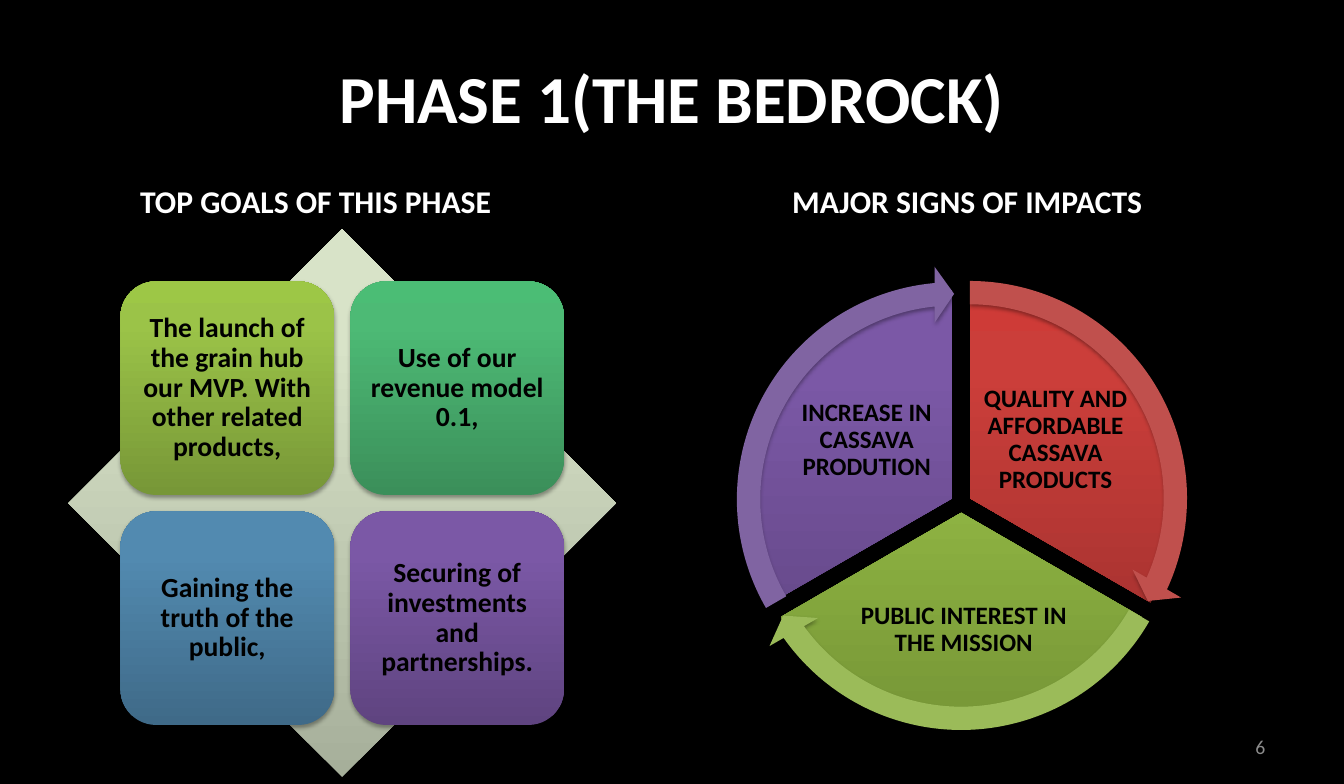
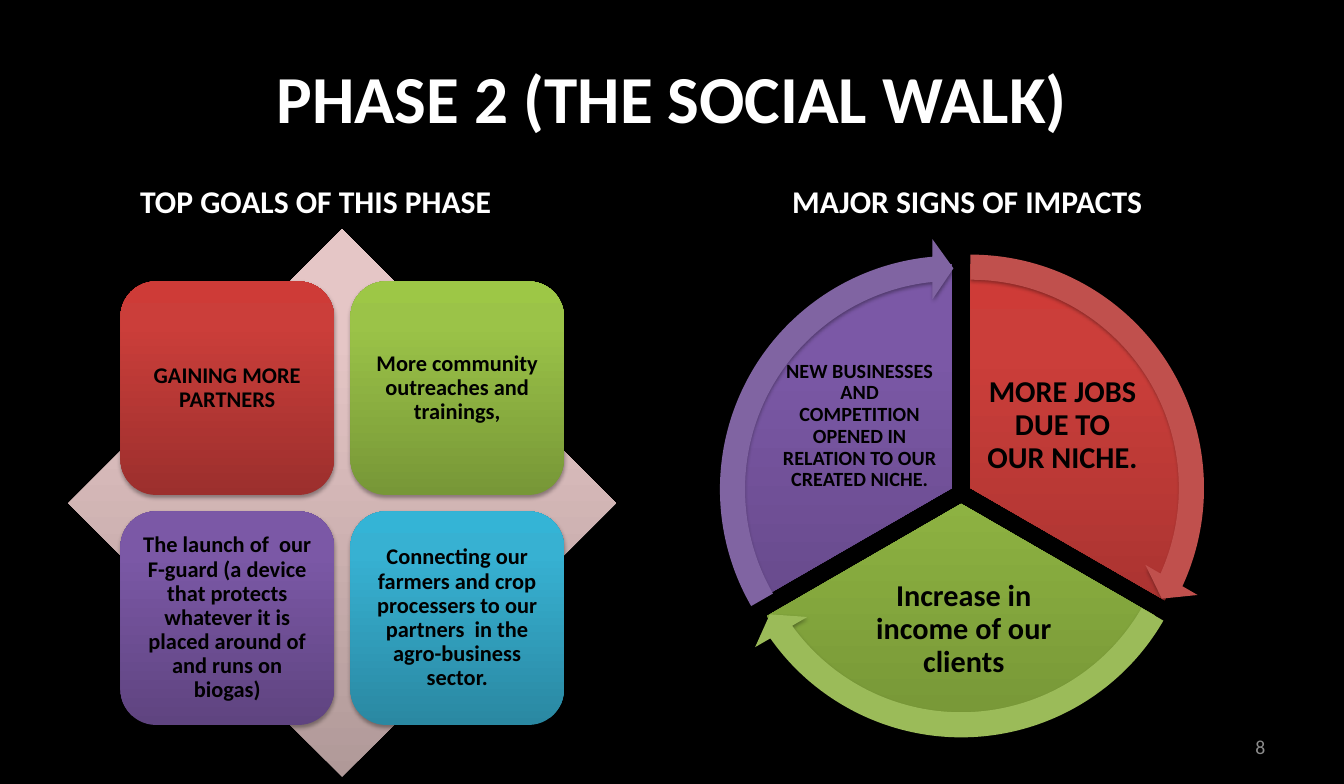
import pptx
import pptx.dml.color
import pptx.enum.shapes
import pptx.enum.text
import pptx.oxml
import pptx.oxml.ns
import pptx.util

Pt = pptx.util.Pt
SHAPE = pptx.enum.shapes.MSO_SHAPE
ALIGN = pptx.enum.text.PP_ALIGN
ANCHOR = pptx.enum.text.MSO_ANCHOR

FONT = "Calibri"
BLACK, WHITE, GREY = "000000", "FFFFFF", "8C8C8C"

# Gradients run from the bottom edge (0 %) over 80 % to the top edge (100 %).
LIME = ("779737", "9BC348", "9DC746")
GREEN = ("3B8F5A", "4DBA75", "4BBD75")
BLUE = ("3F6A88", "528AB0", "518BB3")
PURPLE = ("5F4480", "7B58A6", "7C57A8")
RED = ("9C2F2D", "CB3E3A", "CE3B37")
CYAN = ("2A88A2", "37B1D2", "34B4D6")
SAGE = ("A6AF9A", "D8E3C8", "D9E4C8")
ROSE = ("B09998", "E5C6C6", "E6C7C6")

MATRIX_LEFT, MATRIX_TOP, MATRIX_SIZE = 52, 174.2, 416
TILE_SIZE = 0.39 * MATRIX_SIZE
TILE_MARGIN = 0.095 * MATRIX_SIZE
TILE_PITCH = 0.42 * MATRIX_SIZE

HUB_X = 730.2
RING_RATIO = 1.12

# Wheel sectors: offsets and label boxes are percentages of the diameter,
# angles are degrees, nudge moves the ring arrow in points.
SECTORS = (
    dict(offset=(2.08, -3.5), angles=(270, 30), label=(4.77, -32.3, 35.7, 29.8),
         gradient=RED, ring="C0504D", ring_angles=(24.54, 269.99), nudge=(0, 0)),
    dict(offset=(0, 0), angles=(30, 150), label=(-26.2, 15, 53.6, 26.2),
         gradient=LIME, ring="9BBB59", ring_angles=(144.53, 30.01), nudge=(0, 0)),
    dict(offset=(-2.08, -3.5), angles=(150, 270), label=(-40.5, -32.3, 35.7, 29.8),
         gradient=PURPLE, ring="8064A2", ring_angles=(264.55, 150), nudge=(1.2, 0.9)),
)

SLIDES = (
    dict(title="PHASE 1(THE BEDROCK)", number="6", diamond=SAGE,
         tile_size=21, tile_inset=6.48,
         tiles=(("The launch of the grain hub our MVP. With other related products,", LIME),
                ("Use of our revenue model 0.1,", GREEN),
                ("Gaining the truth of the public,", BLUE),
                ("Securing of investments and partnerships.", PURPLE)),
         hub_y=389.5, diameter=316.8,
         impacts=(("QUALITY AND AFFORDABLE CASSAVA PRODUCTS", 19),
                  ("PUBLIC INTEREST IN THE MISSION", 19),
                  ("INCREASE IN CASSAVA PRODUTION", 19))),
    dict(title="PHASE 2 (THE SOCIAL WALK)", number="8", diamond=ROSE,
         tile_size=17, tile_inset=5.04,
         tiles=(("GAINING MORE PARTNERS", RED),
                ("More community outreaches and trainings,", LIME),
                ("The launch of  our F-guard (a device that protects whatever it is "
                 "placed around of and runs on biogas)", PURPLE),
                ("Connecting our farmers and crop processers to our partners  in the "
                 "agro-business sector.", CYAN)),
         hub_y=382.7, diameter=340.6,
         impacts=(("MORE JOBS DUE TO OUR NICHE.", 23),
                  ("Increase in income of our clients", 23),
                  ("NEW BUSINESSES AND COMPETITION OPENED IN RELATION TO OUR CREATED NICHE.",
                   15.3))),
)


def color(value):
    return pptx.dml.color.RGBColor.from_string(value)


def write(box, text, size, ink=BLACK, bold=True, align=ALIGN.CENTER,
          anchor=ANCHOR.MIDDLE, insets=(0, 0), spacing=None):
    """Fill a shape or text box with one paragraph; insets are horizontal, vertical."""
    frame = box.text_frame
    frame.word_wrap = True
    frame.vertical_anchor = anchor
    frame.margin_left = frame.margin_right = Pt(insets[0])
    frame.margin_top = frame.margin_bottom = Pt(insets[1])
    para = frame.paragraphs[0]
    para.alignment = align
    if spacing:
        para.line_spacing = spacing
    span = para.add_run()
    span.text = text
    span.font.name = FONT
    span.font.size = Pt(size)
    span.font.bold = bold
    span.font.color.rgb = color(ink)


def add_text(page, place, text, size, **style):
    box = page.shapes.add_textbox(*map(Pt, place))
    write(box, text, size, **style)


def add_figure(page, kind, place, fill, shadow=True, adjustments=()):
    """Add a borderless preset shape; fill is one colour or a gradient triple."""
    figure = page.shapes.add_shape(kind, *map(Pt, place))
    for index, value in enumerate(adjustments):
        figure.adjustments[index] = value
    figure.line.fill.background()
    figure.shadow.inherit = False
    if isinstance(fill, str):
        figure.fill.solid()
        figure.fill.fore_color.rgb = color(fill)
    else:
        add_gradient(figure, fill)
    if shadow:
        add_shadow(figure)
    return figure


def add_gradient(figure, stops):
    stop_xml = "".join(
        f'<a:gs pos="{position * 1000}"><a:srgbClr val="{value}"/></a:gs>'
        for position, value in zip((0, 80, 100), stops))
    gradient = pptx.oxml.parse_xml(
        f'<a:gradFill {pptx.oxml.ns.nsdecls("a")} rotWithShape="1"><a:gsLst>{stop_xml}'
        '</a:gsLst><a:lin ang="16200000" scaled="0"/></a:gradFill>')
    geometry = figure._element.spPr.find(pptx.oxml.ns.qn("a:prstGeom"))
    geometry.addnext(gradient)


def add_shadow(figure):
    effects = figure._element.spPr.find(pptx.oxml.ns.qn("a:effectLst"))
    effects.append(pptx.oxml.parse_xml(
        f'<a:outerShdw {pptx.oxml.ns.nsdecls("a")} blurRad="{Pt(3.1)}" dist="{Pt(1.8)}" '
        'dir="5400000" rotWithShape="0"><a:srgbClr val="000000">'
        '<a:alpha val="35000"/></a:srgbClr></a:outerShdw>'))


def turn(degrees):
    """Convert degrees to the adjustment unit of angles."""
    return degrees * 0.6


def square(center_x, center_y, size):
    return center_x - size / 2, center_y - size / 2, size, size


def add_frame(page, title, number):
    """Add what all slides share: background, title, headings and slide number."""
    page.background.fill.solid()
    page.background.fill.fore_color.rgb = color(BLACK)
    add_text(page, (51, 24, 919, 99), title, 51, ink=WHITE, insets=(8.64, 4.32))
    for left, heading in ((99.4, "TOP GOALS OF THIS PHASE"), (594.7, "MAJOR SIGNS OF IMPACTS")):
        add_text(page, (left, 134.6, 326, 36), heading, 24, ink=WHITE, align=ALIGN.LEFT,
                 anchor=ANCHOR.TOP, insets=(7.2, 3.6))
    add_text(page, (731.5, 551.5, 238.5, 31.7), number, 15, ink=GREY, bold=False,
             align=ALIGN.RIGHT, insets=(8.64, 4.32))


def add_goal_matrix(page, diamond, tiles, size, inset):
    add_figure(page, SHAPE.DIAMOND, (MATRIX_LEFT, MATRIX_TOP, MATRIX_SIZE, MATRIX_SIZE),
               diamond, shadow=False)
    for index, (text, gradient) in enumerate(tiles):
        row, column = divmod(index, 2)
        place = (MATRIX_LEFT + TILE_MARGIN + column * TILE_PITCH,
                 MATRIX_TOP + TILE_MARGIN + row * TILE_PITCH, TILE_SIZE, TILE_SIZE)
        tile = add_figure(page, SHAPE.ROUNDED_RECTANGLE, place, gradient)
        write(tile, text, size, insets=(inset, inset), spacing=0.9)


def add_impact_wheel(page, hub_y, diameter, impacts):
    unit = diameter / 100
    centers = [(HUB_X + sector["offset"][0] * unit, hub_y + sector["offset"][1] * unit)
               for sector in SECTORS]
    for sector, center, (text, size) in zip(SECTORS, centers, impacts):
        add_figure(page, SHAPE.PIE, square(*center, diameter), sector["gradient"],
                   adjustments=[turn(angle) for angle in sector["angles"]])
        left, top, width, height = (value * unit for value in sector["label"])
        add_text(page, (HUB_X + left, hub_y + top, width, height), text, size,
                 insets=(size / 10, size / 10), spacing=0.9)
    for sector, (x, y) in zip(SECTORS, centers):
        head, tail = sector["ring_angles"]
        shift_x, shift_y = sector["nudge"]
        add_figure(page, SHAPE.CIRCULAR_ARROW,
                   square(x + shift_x, y + shift_y, diameter * RING_RATIO), sector["ring"],
                   adjustments=(0.05, turn(5.46), turn(head), turn(tail), 0.06))


def main():
    deck = pptx.Presentation()
    deck.slide_width, deck.slide_height = Pt(1021), Pt(595.5)
    for content in SLIDES:
        page = deck.slides.add_slide(deck.slide_layouts[6])
        add_frame(page, content["title"], content["number"])
        add_goal_matrix(page, content["diamond"], content["tiles"],
                        content["tile_size"], content["tile_inset"])
        add_impact_wheel(page, content["hub_y"], content["diameter"], content["impacts"])
    deck.save("out.pptx")


if __name__ == "__main__":
    main()
